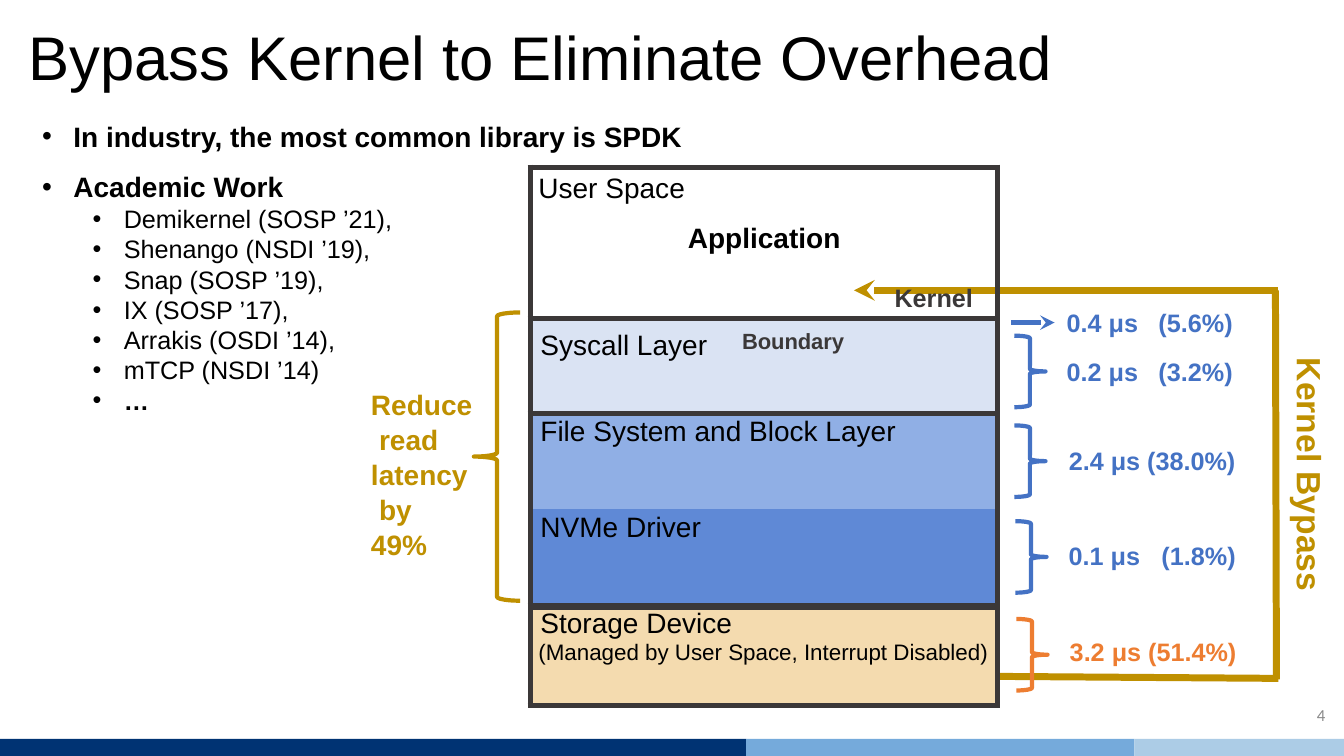
from dataclasses import dataclass
from lxml import etree
from pptx import Presentation
from pptx import util as u
from pptx.dml.color import RGBColor
from pptx.enum import shapes, text
from pptx.oxml.ns import qn

BLACK, GOLD, BLUE, ORANGE, DARK = "000000", "BF9000", "4472C4", "ED7D31", "3B3838"


def color(hex_value):
    """Turn a hex string into a colour."""
    return RGBColor.from_string(hex_value)


def child(parent, tag, **attributes):
    """Append a drawing element to a parent."""
    return etree.SubElement(parent, qn(tag), attributes)


@dataclass
class Line:
    """One paragraph and its style."""
    text: str
    size: float = 20
    color: str = BLACK
    bold: bool = False
    indent: float = 0.01
    before: float = 1
    spacing: object = None
    align: object = None
    bullet: bool = False
    right: float = 0
    font: str = "Arial"


class SlideBuilder:
    """Holds the current slide and draws its elements."""

    def __init__(self, presentation):
        """Add a title-only slide."""
        self.slide = presentation.slides.add_slide(presentation.slide_layouts[5])
        self.shapes = self.slide.shapes

    def set_lines(self, frame, lines):
        """Fill a text frame with styled paragraphs."""
        frame.text = "\n".join(line.text for line in lines)
        for paragraph, line in zip(frame.paragraphs, lines):
            paragraph.alignment = line.align or text.PP_ALIGN.LEFT
            paragraph.space_before = u.Pt(line.before)
            paragraph.line_spacing = line.spacing
            properties = paragraph._p.get_or_add_pPr()
            hanging = u.Inches(-0.31) if line.bullet else 0
            properties.set("marL", str(u.Inches(line.indent)))
            properties.set("indent", str(hanging))
            if line.right:
                properties.set("marR", str(u.Inches(line.right)))
            if line.bullet:
                child(properties, "a:buFont", typeface="Arial")
                child(properties, "a:buChar", char="•")
            for run in paragraph.runs:
                self.style(run, line)

    def style(self, run, line):
        """Give a run the font of its line."""
        run.font.name, run.font.size = line.font, u.Pt(line.size)
        run.font.bold = line.bold
        run.font.color.rgb = color(line.color)

    def frame(self, shape, lines, margins=(0, 0.01, 0, 0), wrap=True):
        """Set the margins of a shape and fill in its text."""
        frame = shape.text_frame
        frame.word_wrap = wrap
        frame.vertical_anchor = text.MSO_ANCHOR.TOP
        (frame.margin_left, frame.margin_top,
         frame.margin_right, frame.margin_bottom) = map(u.Inches, margins)
        self.set_lines(frame, lines)

    def title(self, box, line):
        """Move and format the title placeholder."""
        shape = self.shapes.title
        shape.left, shape.top, shape.width, shape.height = map(u.Inches, box)
        self.frame(shape, [line])

    def label(self, box, lines, vertical=False, **options):
        """Add a text box."""
        shape = self.shapes.add_textbox(*map(u.Inches, box))
        self.frame(shape, lines, **options)
        if vertical:
            shape.text_frame._txBody.bodyPr.set("vert", "vert")

    def bar(self, box, fill):
        """Add a plain filled rectangle."""
        shape = self.shapes.add_shape(shapes.MSO_SHAPE.RECTANGLE, *map(u.Inches, box))
        shape.shadow.inherit = False
        shape.fill.solid()
        shape.fill.fore_color.rgb = color(fill)
        shape.line.fill.background()

    def brace(self, kind, box, line_color):
        """Add an outlined brace."""
        shape = self.shapes.add_shape(kind, *map(u.Inches, box))
        shape.shadow.inherit = False
        shape.fill.background()
        shape.line.color.rgb = color(line_color)
        shape.line.width = u.Pt(3)

    def line(self, points, line_color, width, arrow=False):
        """Add a straight line, with an arrowhead at its end if asked."""
        connector = self.shapes.add_connector(
            shapes.MSO_CONNECTOR.STRAIGHT, *map(u.Inches, points))
        connector.line.color.rgb = color(line_color)
        connector.line.width = u.Pt(width)
        if arrow:
            child(connector.line._get_or_add_ln(), "a:tailEnd", type="stealth")
        child(connector._element.spPr, "a:effectLst")

    def border(self, cell, side, width):
        """Set one cell border; no width means no line."""
        line = child(cell._tc.get_or_add_tcPr(), "a:ln" + side, w=str(u.Pt(width)))
        if width:
            child(child(line, "a:solidFill"), "a:srgbClr", val=DARK)
        else:
            child(line, "a:noFill")

    def layers(self, box, rows):
        """Add the one-column table of software layers."""
        left, top, width = map(u.Inches, box)
        height = u.Inches(sum(row[0] for row in rows))
        table = self.shapes.add_table(len(rows), 1, left, top, width, height).table
        table.first_row = table.horz_banding = False
        above = 4.25
        for index, (row_height, fill, margin, below, lines) in enumerate(rows):
            table.rows[index].height = u.Inches(row_height)
            cell = table.cell(index, 0)
            cell.margin_left = cell.margin_right = cell.margin_bottom = 0
            cell.margin_top = u.Inches(margin)
            for side, border in zip("LRTB", (4.25, 4.25, above, below)):
                self.border(cell, side, border)
            above = below
            if fill:
                cell.fill.solid()
                cell.fill.fore_color.rgb = color(fill)
            else:
                cell.fill.background()
            self.set_lines(cell.text_frame, lines)
        return table


presentation = Presentation()
presentation.slide_width, presentation.slide_height = u.Inches(13.33), u.Inches(7.5)
builder = SlideBuilder(presentation)

for left, width, fill in ((0, 7.4, "003373"), (7.4, 3.85, "75AADB"), (11.25, 2.08, "ACCCE6")):
    builder.bar((left, 7.33, width, 0.17), fill)
builder.title((0.27, 0.18, 10.19, 0.76), Line("Bypass Kernel to Eliminate Overhead", 44))

# Kernel bypass route, from the storage device back to the application
builder.line((9.85, 6.71, 12.68, 6.73), GOLD, 5)
builder.line((12.66, 6.74, 12.65, 2.88), GOLD, 5)
builder.line((12.68, 2.88, 8.47, 2.88), GOLD, 5, arrow=True)
builder.label((12.78, 3.54, 0.4, 2.35), [
    Line("Kernel Bypass", 24, GOLD, True, before=0, spacing=u.Pt(27.6))],
    vertical=True, margins=(0, 0, 0, 0))

stack = builder.layers((5.26, 1.66, 4.63), [
    (1.5, None, 0.06, 4.25, [
        Line("User Space", indent=0.08, before=4.2),
        Line("Application", bold=True, before=13.2, align=text.PP_ALIGN.CENTER),
        Line("Kernel", 18, DARK, True, before=20.7, spacing=u.Pt(21.2),
             align=text.PP_ALIGN.RIGHT, right=0.24)]),
    (0.94, "DAE3F3", 0.03, 4.25, [Line("Syscall Layer\t", indent=0.1, before=2.2)]),
    (0.95, "90AFE5", 0.03, 0, [
        Line("File System and Block Layer", indent=0.1, before=2)]),
    (0.97, "5F89D6", 0.03, 6, [Line("NVMe Driver", indent=0.1, before=2)]),
    (0.98, "F4DBAF", 0, 4.25, [
        Line("Storage Device", indent=0.1, before=0.3, spacing=u.Pt(23.1)),
        Line("(Managed by User Space, Interrupt Disabled)", 16, indent=0.08,
             before=0, spacing=u.Pt(18.3))]),
])
syscall = stack.cell(1, 0).text_frame.paragraphs[0]
tabs = child(syscall._p.get_or_add_pPr(), "a:tabLst")
child(tabs, "a:tab", pos=str(u.Inches(3.42)), algn="l")
boundary = syscall.add_run()
boundary.text = "Boundary"
builder.style(boundary, Line("", 27, DARK, True))
boundary.font._element.set("baseline", "17000")

builder.label((3.67, 3.83, 1.03, 1.7), [
    Line(word, color=GOLD, bold=True, indent=indent) for word, indent in (
        ("Reduce", 0.01), ("read", 0.09), ("latency", 0.01), ("by", 0.09), ("49%", 0.01))])
builder.brace(shapes.MSO_SHAPE.LEFT_BRACE, (4.7, 3.1, 0.46, 2.86), GOLD)

# Latency of each layer
builder.line((10.03, 3.2, 10.46, 3.2), BLUE, 3.5, arrow=True)
for left, top, line_color in ((10.06, 3.33, BLUE), (10.06, 4.22, BLUE),
                              (10.07, 5.17, BLUE), (10.08, 6.14, ORANGE)):
    builder.brace(shapes.MSO_SHAPE.RIGHT_BRACE, (left, top, 0.31, 0.71), line_color)
for left, top, width, line_color, values in (
        (10.57, 3.04, 0.8, BLUE, ("0.4 μs", "0.2 μs")),
        (11.48, 3.04, 0.85, BLUE, ("(5.6%)", "(3.2%)")),
        (10.59, 4.41, 1.75, BLUE, ("2.4 μs (38.0%)",)),
        (10.59, 5.35, 0.8, BLUE, ("0.1 μs",)),
        (11.51, 5.35, 0.85, BLUE, ("(1.8%)",)),
        (10.6, 6.3, 1.75, ORANGE, ("3.2 μs (51.4%)",))):
    builder.label((left, top, width, 0.33 * len(values)), [
        Line(value, 18, line_color, True, before=13.2 if index else 1)
        for index, value in enumerate(values)])

builder.label((13.02, 6.98, 0.25, 0.23), [
    Line("4", 12, "898989", indent=0.04, before=0.4, font="Calibri")])
topics = ("In industry, the most common library is SPDK", "Academic Work")
systems = ("Demikernel (SOSP ’21),", "Shenango (NSDI ’19),", "Snap (SOSP ’19),",
           "IX (SOSP ’17),", "Arrakis (OSDI ’14),", "mTCP (NSDI ’14)", "…")
builder.label((0.32, 0.97, 6.6, 3.9), [
    Line(topic, bold=True, indent=0.31, before=0, spacing=1.5, bullet=True) for topic in topics
] + [
    Line(system, 18, bold=system == "…", indent=0.81, before=0, bullet=True)
    for system in systems], margins=(0.1, 0.05, 0.1, 0.05), wrap=False)

presentation.save("out.pptx")
